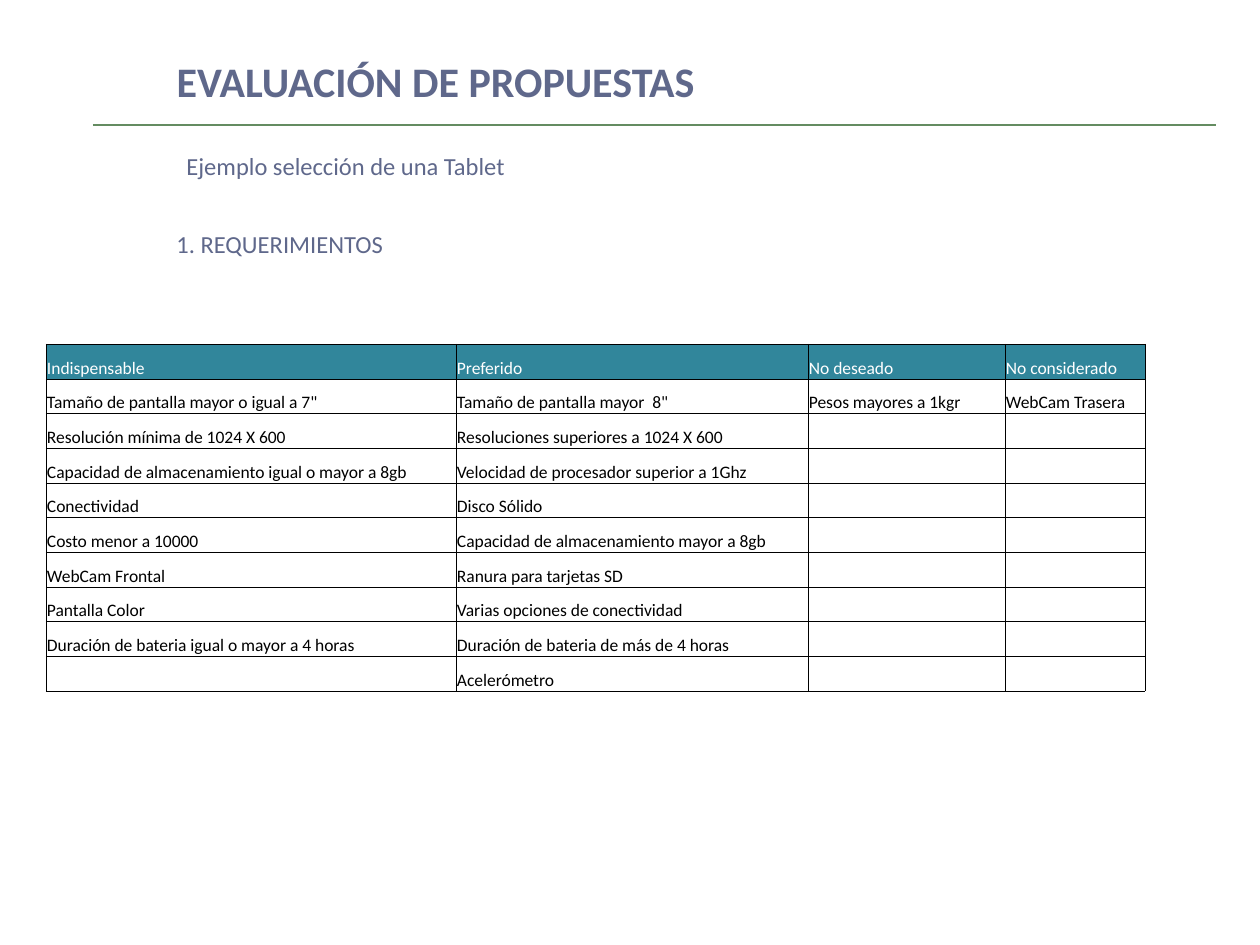
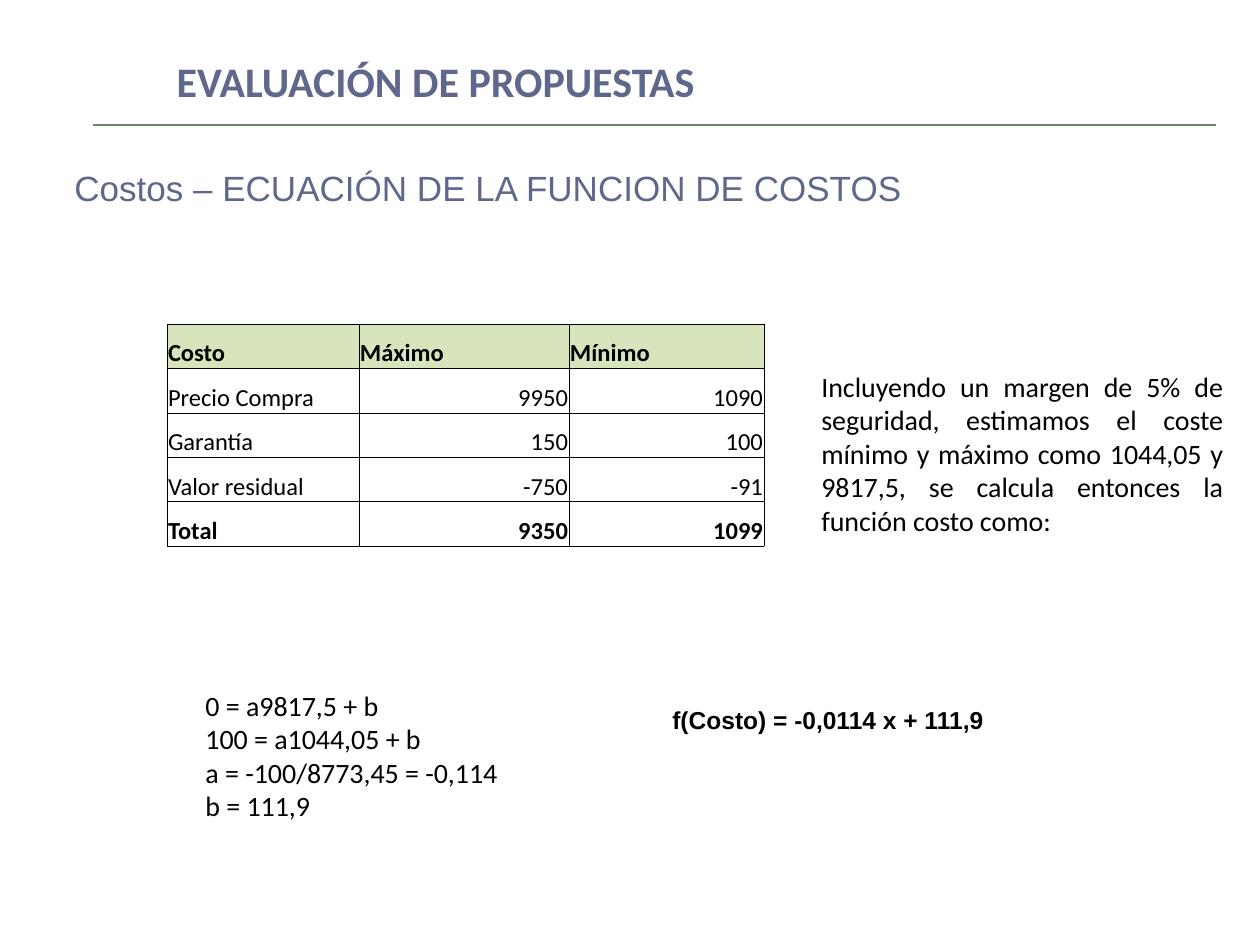
from lxml import etree
from pptx import Presentation
from pptx.dml.color import RGBColor
from pptx.enum.shapes import MSO_CONNECTOR
from pptx.enum.text import MSO_ANCHOR, MSO_AUTO_SIZE, PP_ALIGN
from pptx.oxml.ns import qn
from pptx.util import Inches, Pt

STRAIGHT = MSO_CONNECTOR.STRAIGHT
MIDDLE, BOTTOM = MSO_ANCHOR.MIDDLE, MSO_ANCHOR.BOTTOM
LEFT, RIGHT, JUSTIFY = PP_ALIGN.LEFT, PP_ALIGN.RIGHT, PP_ALIGN.JUSTIFY
NO_AUTOFIT = MSO_AUTO_SIZE.NONE

COLORS = {
    "heading": "5F688B",
    "rule": "648C61",
    "text": "000000",
    "white": "FFFFFF",
    "teal": "31869B",
    "green": "D8E4BC",
}
PX_PER_INCH = 126
TITLE_ONLY = 5
BORDER_WIDTH = Pt(0.23)
TITLE = "EVALUACIÓN DE PROPUESTAS"

REQUIREMENTS = [
    ("Indispensable", "Preferido", "No deseado", "No considerado"),
    ('Tamaño de pantalla mayor o igual a 7"', 'Tamaño de pantalla mayor  8"',
     "Pesos mayores a 1kgr", "WebCam Trasera"),
    ("Resolución mínima de 1024 X 600", "Resoluciones superiores a 1024 X 600", "", ""),
    ("Capacidad de almacenamiento igual o mayor a 8gb",
     "Velocidad de procesador superior a 1Ghz", "", ""),
    ("Conectividad", "Disco Sólido", "", ""),
    ("Costo menor a 10000", "Capacidad de almacenamiento mayor a 8gb", "", ""),
    ("WebCam Frontal", "Ranura para tarjetas SD", "", ""),
    ("Pantalla Color", "Varias opciones de conectividad", "", ""),
    ("Duración de bateria igual o mayor a 4 horas",
     "Duración de bateria de más de 4 horas", "", ""),
    ("", "Acelerómetro", "", ""),
]
COSTS = [
    ("Costo", "Máximo", "Mínimo"),
    ("Precio Compra", "9950", "1090"),
    ("Garantía", "150", "100"),
    ("Valor residual", "-750", "-91"),
    ("Total", "9350", "1099"),
]
MARGIN_NOTE = (
    "Incluyendo un margen de 5% de seguridad, estimamos el coste mínimo y máximo "
    "como 1044,05 y 9817,5, se calcula entonces la función costo como:"
)
EQUATIONS = "0 = a9817,5 + b\n100 = a1044,05 + b\na = -100/8773,45 = -0,114\nb = 111,9"


def px(length):
    """Turn a length in px into EMU."""
    return round(length * Inches(1) / PX_PER_INCH)


def style_paragraph(paragraph, size, color="text", bold=False, font="Calibri", align=LEFT):
    """Set the alignment and font of a whole paragraph."""
    paragraph.alignment = align
    paragraph.font.name = font
    paragraph.font.size = Pt(size)
    paragraph.font.bold = bold
    paragraph.font.color.rgb = RGBColor.from_string(COLORS[color])


def add_text(slide, box, text, size, **style):
    """Add a wrapping text box with one styled paragraph."""
    frame = slide.shapes.add_textbox(*map(px, box)).text_frame
    frame.word_wrap = True
    frame.paragraphs[0].text = text
    style_paragraph(frame.paragraphs[0], size, **style)


def add_titled_slide(presentation):
    """Add a slide with the shared title and the rule below it."""
    slide = presentation.slides.add_slide(presentation.slide_layouts[TITLE_ONLY])
    title = slide.shapes.title
    title.left, title.top, title.width, title.height = map(px, (164, 16, 955, 129))
    frame = title.text_frame
    frame.text = TITLE
    frame.auto_size = NO_AUTOFIT
    frame.vertical_anchor = MIDDLE
    style_paragraph(frame.paragraphs[0], 24, color="heading", bold=True)

    rule = slide.shapes.add_connector(STRAIGHT, *map(px, (93, 125, 1216, 125)))
    rule.line.color.rgb = RGBColor.from_string(COLORS["rule"])
    rule.line.width = Pt(0.75)
    etree.SubElement(rule._element.spPr, qn("a:effectLst"))
    return slide


def add_borders(cell):
    """Draw a thin line on each side of a table cell."""
    properties = cell._tc.get_or_add_tcPr()
    for side in ("a:lnL", "a:lnR", "a:lnT", "a:lnB"):
        line = etree.SubElement(properties, qn(side), w=str(BORDER_WIDTH))
        fill = etree.SubElement(line, qn("a:solidFill"))
        etree.SubElement(fill, qn("a:srgbClr"), val=COLORS["text"])


def add_grid(slide, box, column_widths, rows, header_fill, size, style_cell):
    """Add a bordered table with equal rows, styled cell by cell."""
    left, top, height = box
    table = slide.shapes.add_table(
        len(rows), len(column_widths),
        px(left), px(top), px(sum(column_widths)), px(height),
    ).table
    table.first_row = table.horz_banding = False
    for column, width in zip(table.columns, column_widths):
        column.width = px(width)
    for row_index, texts in enumerate(rows):
        table.rows[row_index].height = px(height / len(rows))
        for column_index, text in enumerate(texts):
            cell = table.cell(row_index, column_index)
            cell.margin_left = cell.margin_right = cell.margin_top = px(1)
            cell.margin_bottom = 0
            cell.vertical_anchor = BOTTOM
            add_borders(cell)
            if row_index == 0:
                cell.fill.solid()
                cell.fill.fore_color.rgb = RGBColor.from_string(COLORS[header_fill])
            else:
                cell.fill.background()
            paragraph = cell.text_frame.paragraphs[0]
            paragraph.text = text
            paragraph.line_spacing = 1.02
            style_paragraph(paragraph, size, **style_cell(row_index, column_index))
            if not text:
                etree.SubElement(paragraph._p, qn("a:endParaRPr"), sz=str(size * 100))


def requirement_style(row_index, column_index):
    """Give the header white text."""
    return {"color": "text" if row_index else "white"}


def cost_style(row_index, column_index):
    """Make the header and total bold and align the amounts right."""
    return {
        "bold": row_index in (0, len(COSTS) - 1),
        "align": RIGHT if row_index and column_index else LEFT,
    }


def build_requirements(presentation):
    """Build the slide with the tablet requirements."""
    slide = add_titled_slide(presentation)
    add_text(slide, (174, 145, 595, 50), "Ejemplo selección de una Tablet", 14, color="heading")
    add_text(slide, (164, 223, 596, 50), "1. REQUERIMIENTOS", 14, color="heading")
    add_grid(slide, (46, 344, 347), (410, 352, 197, 140), REQUIREMENTS,
             "teal", 10, requirement_style)


def build_costs(presentation):
    """Build the slide with the cost function."""
    slide = add_titled_slide(presentation)
    add_text(slide, (62, 160, 1023, 55), "Costos – ECUACIÓN DE LA FUNCION DE COSTOS", 20,
             color="heading", font="Arial")
    add_grid(slide, (167, 324, 222), (192, 210, 195), COSTS, "green", 14, cost_style)
    add_text(slide, (809, 363, 427, 180), MARGIN_NOTE, 16, align=JUSTIFY)
    add_text(slide, (193, 682, 675, 147), EQUATIONS, 16)
    add_text(slide, (660, 699, 566, 50), "f(Costo) = -0,0114 x + 111,9", 14,
             bold=True, font="Arial")


def main():
    """Build and save the presentation."""
    presentation = Presentation()
    presentation.slide_width, presentation.slide_height = px(1260), px(945)
    build_requirements(presentation)
    build_costs(presentation)
    presentation.save("out.pptx")


if __name__ == "__main__":
    main()
